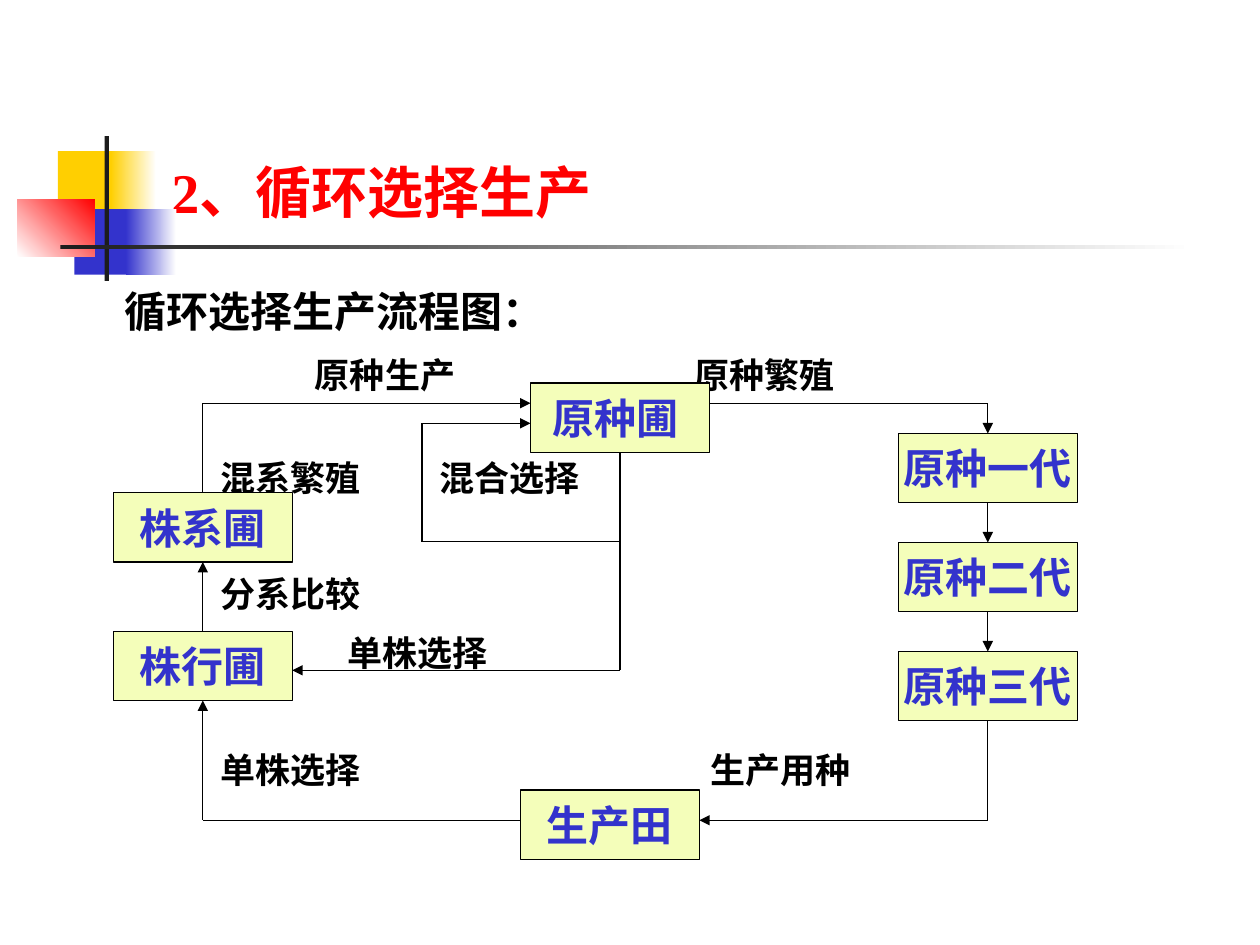
from itertools import pairwise

from pptx import Presentation
from pptx.dml.color import RGBColor
from pptx.enum.shapes import MSO_CONNECTOR, MSO_SHAPE
from pptx.enum.text import MSO_ANCHOR, MSO_AUTO_SIZE, PP_ALIGN
from pptx.oxml.ns import qn
from pptx.util import Inches, Pt
from lxml.etree import SubElement

# Slide grid: 100 columns by 75 rows
SLIDE_WIDTH, SLIDE_HEIGHT = Inches(10), Inches(7.5)
COLUMN, ROW = SLIDE_WIDTH / 100, SLIDE_HEIGHT / 75

WHITE = RGBColor(0xFF, 0xFF, 0xFF)
BLACK = RGBColor(0x00, 0x00, 0x00)
CHARCOAL = RGBColor(0x1C, 0x1C, 0x1C)
YELLOW = RGBColor(0xFF, 0xCF, 0x01)
BLUE = RGBColor(0x33, 0x33, 0xCC)
RED = RGBColor(0xFF, 0x00, 0x00)
CREAM = RGBColor(0xF4, 0xFE, 0xBA)

NODE_WIDTH, NODE_HEIGHT = 14.2, 5.5


def area(origin, column, row, width, height):
    """Turn grid units, counted from an origin, into slide lengths."""
    return (round((origin[0] + column) * COLUMN), round((origin[1] + row) * ROW),
            round(width * COLUMN), round(height * ROW))


def style_text(paragraph, text, size, font_name, color):
    paragraph.text = text
    font = paragraph.font
    font.size, font.name, font.bold = Pt(size), font_name, True
    font.color.rgb = color


def add_box(slide, bounds, fill_color):
    shape = slide.shapes.add_shape(MSO_SHAPE.RECTANGLE, *bounds)
    shape.shadow.inherit = False
    shape.fill.solid()
    shape.fill.fore_color.rgb = fill_color
    shape.line.fill.background()
    return shape


def add_ornament(slide, origin):
    """Coloured squares and the two rules beside the title."""
    # column, row, width, height, solid colour or (start, end, angle)
    parts = [
        (3.2, 1.2, 4.8, 5.2, YELLOW),
        (7.4, 1.2, 3.6, 5.2, (YELLOW, WHITE, 0)),
        (4.5, 5.8, 4.6, 5.2, BLUE),
        (8.6, 5.8, 4, 5.2, (BLUE, WHITE, 0)),
        (0, 5, 6.1, 4.6, (WHITE, RED, 45)),
        (6.9, 0, 0.35, 11.5, CHARCOAL),
        (3.4, 8.65, 90, 0.35, (CHARCOAL, WHITE, 0)),
    ]
    for *bounds, paint in parts:
        solid = isinstance(paint, RGBColor)
        shape = add_box(slide, area(origin, *bounds), paint if solid else WHITE)
        if not solid:
            *colors, angle = paint
            shape.fill.gradient()
            shape.fill.gradient_angle = angle
            for stop, color in zip(shape.fill.gradient_stops, colors):
                stop.color.rgb = color


def add_title(slide, bounds):
    title = slide.shapes.title
    title.left, title.top, title.width, title.height = bounds
    frame = title.text_frame
    frame.auto_size = MSO_AUTO_SIZE.NONE
    frame.vertical_anchor = MSO_ANCHOR.BOTTOM
    paragraph = frame.paragraphs[0]
    style_text(paragraph, "2、循环选择生产", 32, "Times New Roman", RED)
    paragraph.alignment = PP_ALIGN.LEFT


def add_label(slide, bounds, text, size, font_name):
    frame = slide.shapes.add_textbox(*bounds).text_frame
    frame.word_wrap = True
    frame.vertical_anchor = MSO_ANCHOR.MIDDLE
    frame.margin_left = frame.margin_right = 0
    frame.margin_top = frame.margin_bottom = 0
    style_text(frame.paragraphs[0], text, size, font_name, BLACK)


def add_node(slide, origin, column, row, text):
    shape = add_box(slide, area(origin, column, row, NODE_WIDTH, NODE_HEIGHT), CREAM)
    shape.line.color.rgb = BLACK
    shape.line.width = Pt(0.75)
    frame = shape.text_frame
    frame.word_wrap = False
    frame.vertical_anchor = MSO_ANCHOR.MIDDLE
    paragraph = frame.paragraphs[0]
    style_text(paragraph, text, 24, "Cabin", BLUE)
    paragraph.alignment = PP_ALIGN.CENTER


def add_route(slide, origin, points, arrow=True):
    """Straight segments through the points, with an arrowhead on the last."""
    corners = [area(origin, *point, 0, 0)[:2] for point in points]
    for start, end in pairwise(corners):
        connector = slide.shapes.add_connector(MSO_CONNECTOR.STRAIGHT, *start, *end)
        connector.line.color.rgb = BLACK
        connector.line.width = Pt(0.75)
        if arrow and end == corners[-1]:
            SubElement(connector.line._get_or_add_ln(), qn("a:tailEnd"), type="triangle")
        SubElement(connector._element.spPr, qn("a:effectLst"))


def add_flowchart(slide, origin):
    """Labels, nodes and routes of the production cycle."""
    labels = [
        (16, 1.7, "原种生产"), (46.1, 1.7, "原种繁殖"),
        (8.5, 9.9, "混系繁殖"), (25.9, 9.9, "混合选择"),
        (8.5, 19.1, "分系比较"), (18.6, 23.8, "单株选择"),
        (8.5, 33.1, "单株选择"), (47.4, 33.1, "生产用种"),
    ]
    for column, middle, text in labels:
        add_label(slide, area(origin, column, middle - 2, 13, 4), text, 20,
                  "Times New Roman")

    # Columns and rows shared by nodes and routes
    nursery, field, right = 33.1, 32.3, 62.3
    nursery_row, family_row, line_row, field_row = 2.4, 11.1, 22.1, 34.7
    generations = [6.4 + 8.65 * index for index in range(3)]
    nodes = [(nursery, nursery_row, "原种圃 ")]
    nodes += [(right, row, f"原种{number}代") for row, number in zip(generations, "一二三")]
    nodes += [(0, family_row, "株系圃"), (0, line_row, "株行圃"),
              (field, field_row, "生产田")]
    for node in nodes:
        add_node(slide, origin, *node)

    half = NODE_WIDTH / 2
    left_axis, middle_axis, right_axis = half, nursery + half, right + half
    top, bottom, loop, loop_top, loop_bottom, return_row = 4, 37.1, 24.5, 5.6, 15, 25.2
    routes = [
        [(nursery + NODE_WIDTH, top), (right_axis, top), (right_axis, generations[0])],
        [(left_axis, family_row), (left_axis, top), (nursery, top)],
        [(middle_axis, nursery_row + NODE_HEIGHT), (middle_axis, return_row),
         (NODE_WIDTH, return_row)],
        [(left_axis, line_row), (left_axis, family_row + NODE_HEIGHT)],
        [(field, bottom), (left_axis, bottom), (left_axis, line_row + NODE_HEIGHT)],
        [(right_axis, generations[-1] + NODE_HEIGHT), (right_axis, bottom),
         (field + NODE_WIDTH, bottom)],
        [(middle_axis, loop_bottom), (loop, loop_bottom), (loop, loop_top),
         (nursery, loop_top)],
    ]
    routes += [[(right_axis, upper + NODE_HEIGHT), (right_axis, lower)]
               for upper, lower in pairwise(generations)]
    for points in routes:
        add_route(slide, origin, points)


def main():
    presentation = Presentation()
    presentation.slide_width, presentation.slide_height = SLIDE_WIDTH, SLIDE_HEIGHT
    slide = presentation.slides.add_slide(presentation.slide_layouts[5])
    page = (0, 0)
    add_ornament(slide, (1.4, 10.8))
    add_title(slide, area(page, 12.6, 2.3, 85.2, 16))
    add_label(slide, area(page, 9.9, 22.2, 40, 5), "循环选择生产流程图：", 24, "Cabin")
    add_flowchart(slide, (9, 28))
    presentation.save("out.pptx")


if __name__ == "__main__":
    main()
